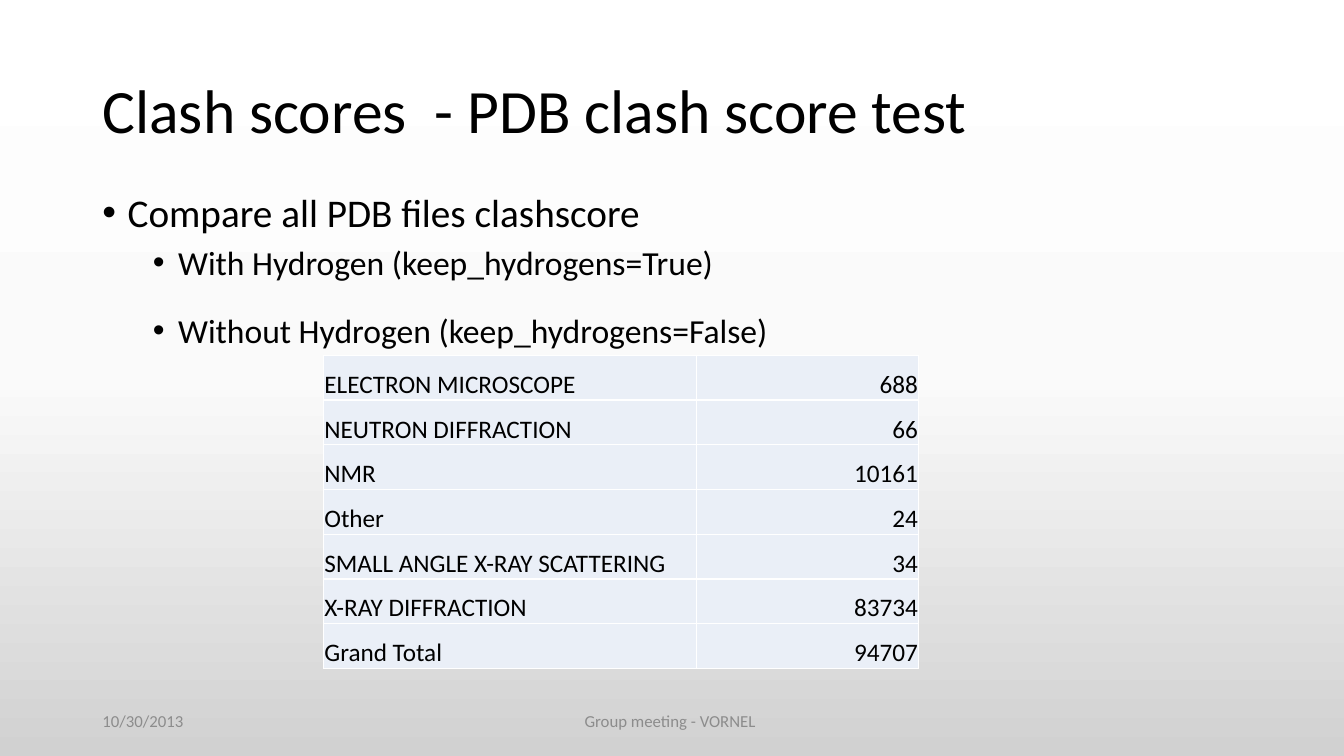
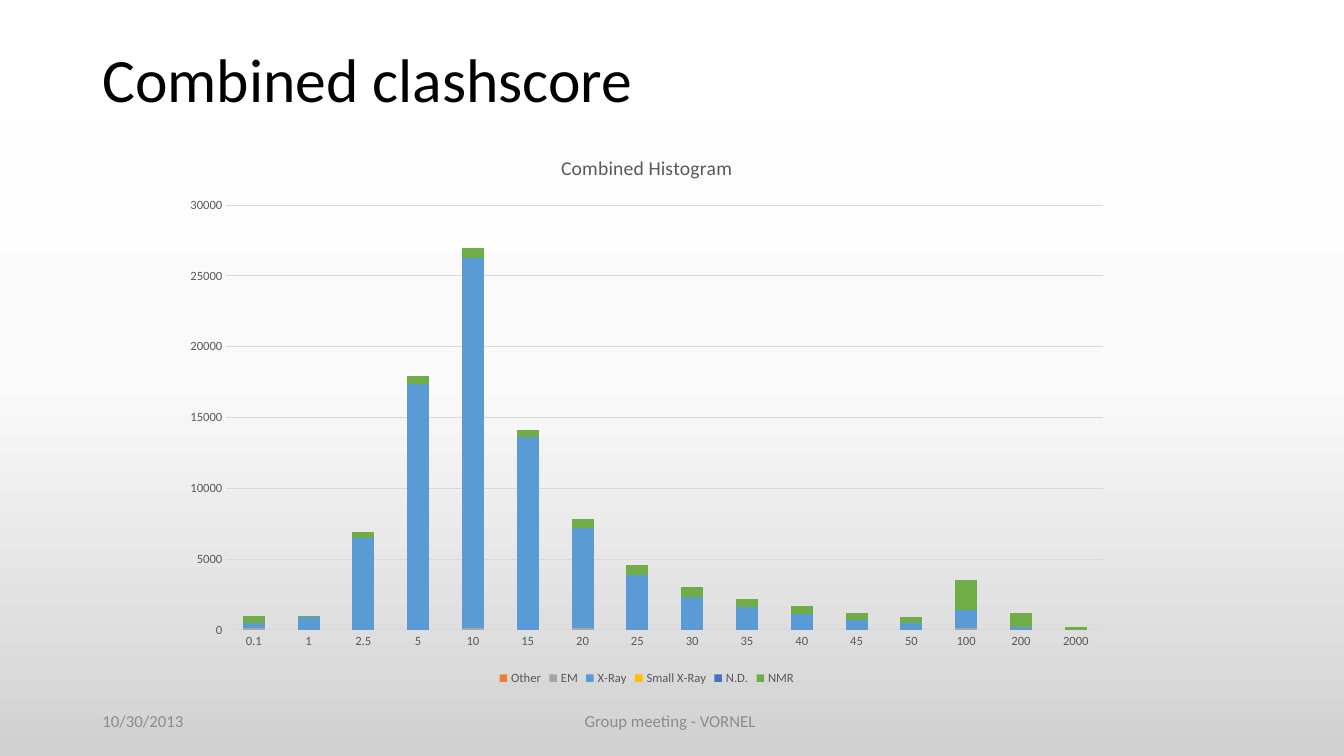
from copy import deepcopy
from dataclasses import dataclass

from lxml.etree import SubElement
from pptx import Presentation
from pptx.chart.data import CategoryChartData
from pptx.dml.color import RGBColor
from pptx.enum.chart import XL_CHART_TYPE, XL_LEGEND_POSITION, XL_TICK_MARK
from pptx.enum.text import MSO_ANCHOR, MSO_AUTO_SIZE, PP_ALIGN
from pptx.oxml.ns import qn
from pptx.util import Inches, Pt


@dataclass(frozen=True)
class Theme:
    font: str = "Calibri"
    ink: str = "000000"
    footer: str = "8C8C8C"
    chart_text: str = "595959"
    chart_line: str = "D9D9D9"
    cell: str = "EAEFF7"
    border: str = "FFFFFF"
    background: tuple = ((0, "FFFFFF"), (0.5, "FAFAFA"), (1, "D1D1D1"))
    title_size: int = 44
    list_sizes: tuple = (28, 24)
    table_size: int = 18
    footer_size: int = 12
    chart_title_size: int = 14
    chart_size: int = 9


THEME = Theme()
SLIDE_WIDTH, SLIDE_HEIGHT = Inches(13.33), Inches(7.5)
COLUMNS, ROWS = 160, 90
MARGIN, CONTENT_COLUMNS = 11, 138
TITLE_LAYOUT, LIST_LAYOUT = 5, 1

BULLETS = (
    (0, 1.5, "Compare all PDB files clashscore"),
    (1, 1.0, "With Hydrogen (keep_hydrogens=True)"),
    (1, 1.5, "Without Hydrogen (keep_hydrogens=False)"),
)
METHOD_COUNTS = (
    ("ELECTRON MICROSCOPE", 688),
    ("NEUTRON DIFFRACTION", 66),
    ("NMR", 10161),
    ("Other", 24),
    ("SMALL ANGLE X-RAY SCATTERING", 34),
    ("X-RAY DIFFRACTION", 83734),
    ("Grand Total", 94707),
)
SCORE_BINS = ("0.1", "1", "2.5", "5", "10", "15", "20", "25", "30", "35",
              "40", "45", "50", "100", "200", "2000")
NO_COUNTS = (0,) * len(SCORE_BINS)
SCORE_SERIES = (
    ("Other", "ED7D31", NO_COUNTS),
    ("EM", "A5A5A5", (100, 0, 0, 0, 100, 0, 100, 0, 0, 0, 0, 0, 0, 100, 0, 0)),
    ("X-Ray", "5B9BD5", (400, 900, 6500, 17400, 26200, 13600, 7100, 3900,
                         2300, 1600, 1100, 700, 500, 1300, 200, 0)),
    ("Small X-Ray", "FFC000", NO_COUNTS),
    ("N.D.", "4472C4", NO_COUNTS),
    ("NMR", "70AD47", (500, 100, 400, 500, 700, 500, 600, 700,
                       700, 600, 600, 500, 400, 2100, 1000, 200)),
)


def columns(count):
    return round(SLIDE_WIDTH * count / COLUMNS)


def rows(count):
    return round(SLIDE_HEIGHT * count / ROWS)


def box(left, top, width, height):
    return columns(left), rows(top), columns(width), rows(height)


def place(shape, left, top, width, height):
    shape.left, shape.top, shape.width, shape.height = box(left, top, width, height)


def set_font(font, size, color):
    font.name = THEME.font
    font.size = Pt(size)
    font.bold = False
    font.color.rgb = RGBColor.from_string(color)


def write(paragraph, text, size, color=THEME.ink, align=PP_ALIGN.LEFT,
          line_spacing=1.0, space_before=0):
    paragraph.alignment = align
    paragraph.line_spacing = line_spacing
    paragraph.space_before = Pt(space_before)
    run = paragraph.add_run()
    run.text = text
    set_font(run.font, size, color)


def set_bullet(paragraph, level):
    paragraph.level = level
    properties = paragraph._p.get_or_add_pPr()
    properties.set("marL", str(Inches(0.25 + 0.5 * level)))
    properties.set("indent", str(Inches(-0.25)))
    SubElement(properties, qn("a:buFont"), typeface="Arial")
    SubElement(properties, qn("a:buChar"), char="•")


def set_background(master):
    fill = master.background.fill
    fill.gradient()
    fill.gradient_angle = 270
    stop_list = next(master.element.iter(qn("a:gsLst")))
    stop_list.append(deepcopy(stop_list[-1]))
    for stop, (position, color) in zip(fill.gradient_stops, THEME.background):
        stop.position = position
        stop.color.rgb = RGBColor.from_string(color)


def add_footer(slide, text, left, width, align):
    frame = slide.shapes.add_textbox(*box(left, 83.4, width, 4.8)).text_frame
    frame.word_wrap = True
    frame.vertical_anchor = MSO_ANCHOR.MIDDLE
    write(frame.paragraphs[0], text, THEME.footer_size,
          color=THEME.footer, align=align)


def add_slide(presentation, layout, title, title_top):
    slide = presentation.slides.add_slide(presentation.slide_layouts[layout])
    shape = slide.shapes.title
    place(shape, MARGIN, title_top, CONTENT_COLUMNS, 17.4)
    shape.text_frame.auto_size = MSO_AUTO_SIZE.NONE
    shape.text_frame.vertical_anchor = MSO_ANCHOR.MIDDLE
    write(shape.text_frame.paragraphs[0], title, THEME.title_size, line_spacing=0.9)
    add_footer(slide, "10/30/2013", MARGIN, 36, PP_ALIGN.LEFT)
    add_footer(slide, "Group meeting - VORNEL ", 53, 54, PP_ALIGN.CENTER)
    return slide


def fill_list(shape, items):
    place(shape, MARGIN, 19, CONTENT_COLUMNS, 57.1)
    frame = shape.text_frame
    frame.auto_size = MSO_AUTO_SIZE.NONE
    for index, (level, spacing, text) in enumerate(items):
        paragraph = frame.add_paragraph() if index else frame.paragraphs[0]
        write(paragraph, text, THEME.list_sizes[level], line_spacing=spacing,
              space_before=5 if level else 10)
        set_bullet(paragraph, level)


def set_borders(cell):
    properties = cell._tc.get_or_add_tcPr()
    for index, side in enumerate(("lnL", "lnR", "lnT", "lnB")):
        line = properties.makeelement(qn(f"a:{side}"), {"w": str(Pt(1))})
        fill = SubElement(line, qn("a:solidFill"))
        SubElement(fill, qn("a:srgbClr"), val=THEME.border)
        properties.insert(index, line)


def format_cell(cell, text, align):
    cell.fill.solid()
    cell.fill.fore_color.rgb = RGBColor.from_string(THEME.cell)
    cell.margin_left = cell.margin_right = cell.margin_top = Inches(0.01)
    cell.margin_bottom = 0
    cell.vertical_anchor = MSO_ANCHOR.BOTTOM
    write(cell.text_frame.paragraphs[0], text, THEME.table_size, align=align)
    set_borders(cell)


def add_count_table(slide, counts):
    table = slide.shapes.add_table(
        len(counts), 2, *box(38.5, 42.3, 70.9, 37.3)).table
    table.first_row = table.horz_banding = False
    for column, width in zip(table.columns, (44.4, 26.5)):
        column.width = columns(width)
    for row, (method, count) in zip(table.rows, counts):
        format_cell(row.cells[0], method, PP_ALIGN.LEFT)
        format_cell(row.cells[1], str(count), PP_ALIGN.RIGHT)


def format_line(line):
    line.color.rgb = RGBColor.from_string(THEME.chart_line)
    line.width = Pt(0.75)


def format_axes(chart):
    for axis in (chart.category_axis, chart.value_axis):
        axis.major_tick_mark = axis.minor_tick_mark = XL_TICK_MARK.NONE
        set_font(axis.tick_labels.font, THEME.chart_size, THEME.chart_text)
    format_line(chart.category_axis.format.line)
    value_axis = chart.value_axis
    value_axis.format.line.fill.background()
    value_axis.minimum_scale = 0
    value_axis.maximum_scale = 30000
    value_axis.major_unit = 5000
    format_line(value_axis.major_gridlines.format.line)


def add_histogram(slide, title, categories, series_list):
    data = CategoryChartData()
    data.categories = categories
    for name, _, values in series_list:
        data.add_series(name, values)
    chart = slide.shapes.add_chart(
        XL_CHART_TYPE.COLUMN_STACKED, *box(20.4, 16, 113.2, 66.1), data).chart
    set_font(chart.font, 10, THEME.ink)
    write(chart.chart_title.text_frame.paragraphs[0], title,
          THEME.chart_title_size, color=THEME.chart_text, align=PP_ALIGN.CENTER)
    chart.chart_title.include_in_layout = False
    chart.has_legend = True
    chart.legend.position = XL_LEGEND_POSITION.BOTTOM
    chart.legend.include_in_layout = False
    set_font(chart.legend.font, THEME.chart_size, THEME.chart_text)
    plot = chart.plots[0]
    plot.gap_width, plot.overlap = 150, 100
    plot.vary_by_categories = False
    for series, (_, color, _) in zip(plot.series, series_list):
        series.format.fill.solid()
        series.format.fill.fore_color.rgb = RGBColor.from_string(color)
    format_axes(chart)


def main():
    presentation = Presentation()
    presentation.slide_width, presentation.slide_height = SLIDE_WIDTH, SLIDE_HEIGHT
    set_background(presentation.slide_master)

    test_slide = add_slide(presentation, LIST_LAYOUT,
                           "Clash scores  - PDB clash score test", 4.8)
    fill_list(test_slide.placeholders[1], BULLETS)
    add_count_table(test_slide, METHOD_COUNTS)

    histogram_slide = add_slide(presentation, TITLE_LAYOUT, "Combined clashscore", 1.1)
    add_histogram(histogram_slide, "Combined Histogram", SCORE_BINS, SCORE_SERIES)

    presentation.save("out.pptx")


if __name__ == "__main__":
    main()
